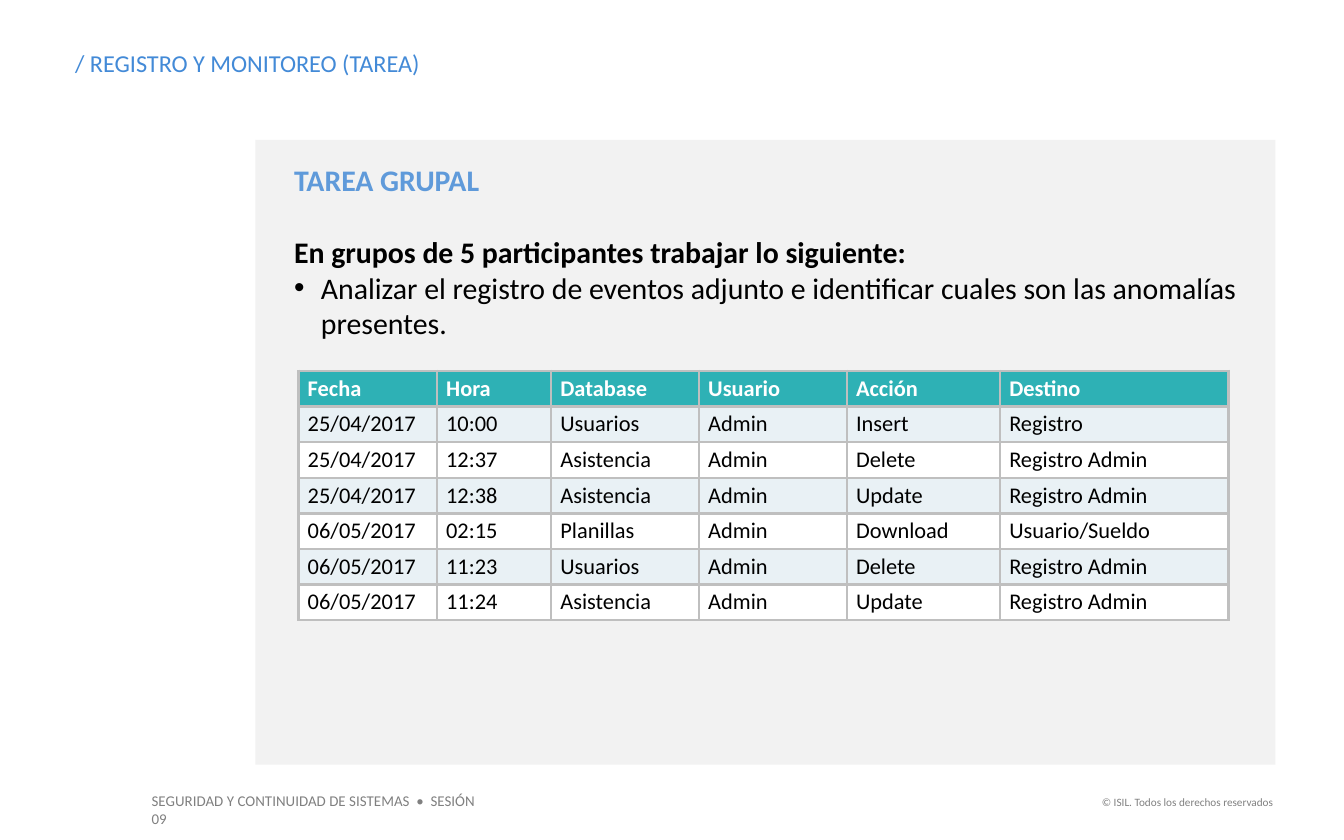
from lxml.etree import SubElement
from pptx import Presentation
from pptx.dml.color import RGBColor
from pptx.enum.shapes import MSO_SHAPE as Shape
from pptx.enum.text import PP_ALIGN as Align
from pptx.oxml.ns import qn
from pptx.util import Inches, Pt

FONT = "Calibri"
BLACK, WHITE, GRAY, BLUE = "000000", "FFFFFF", "808080", "5F9ADA"
PANEL, HEADER, BAND, BORDER = "F2F2F2", "2EB1B5", "E9F1F5", "BFBFBF"

TITLE = "/ REGISTRO Y MONITOREO (TAREA)"
COURSE = "SEGURIDAD Y CONTINUIDAD DE SISTEMAS  •  SESIÓN 09"
RIGHTS = "© ISIL. Todos los derechos reservados"
TASK = [
    dict(text="TAREA GRUPAL", color=BLUE, bold=True),
    dict(text="En grupos de 5 participantes trabajar lo siguiente:", bold=True, before=19.5),
    dict(text="Analizar el registro de eventos adjunto e identificar cuales son "
              "las anomalías presentes.", bullet=True),
]
EVENTS = [
    ("Fecha", "Hora", "Database", "Usuario", "Acción", "Destino"),
    ("25/04/2017", "10:00", "Usuarios", "Admin", "Insert", "Registro"),
    ("25/04/2017", "12:37", "Asistencia", "Admin", "Delete", "Registro Admin"),
    ("25/04/2017", "12:38", "Asistencia", "Admin", "Update", "Registro Admin"),
    ("06/05/2017", "02:15", "Planillas", "Admin", "Download", "Usuario/Sueldo"),
    ("06/05/2017", "11:23", "Usuarios", "Admin", "Delete", "Registro Admin"),
    ("06/05/2017", "11:24", "Asistencia", "Admin", "Update", "Registro Admin"),
]
COL_WIDTHS = [1.03, 0.85, 1.1, 1.1, 1.14, 1.7]
ROW_HEIGHT = 0.265


def rgb(color):
    return RGBColor.from_string(color)


def add_run(p, text, size, color=BLACK, bold=False):
    r = p.add_run()
    r.text = text
    r.font.name, r.font.size, r.font.bold = FONT, Pt(size), bold
    r.font.color.rgb = rgb(color)


def add_bullet(p, indent):
    pPr = p._p.get_or_add_pPr()
    pPr.set("marL", str(Inches(indent)))
    pPr.set("indent", str(-Inches(indent)))
    SubElement(pPr, qn("a:buFont"), typeface="Arial")
    SubElement(pPr, qn("a:buChar"), char="•")


def set_margins(target, x, y):
    target.margin_left = target.margin_right = Inches(x)
    target.margin_top = target.margin_bottom = Inches(y)


def add_text(slide, box, paragraphs, size, align=Align.LEFT, margins=(0.1, 0.05)):
    tf = slide.shapes.add_textbox(*map(Inches, box)).text_frame
    tf.word_wrap = True
    set_margins(tf, *margins)
    for i, item in enumerate(paragraphs):
        p = tf.add_paragraph() if i else tf.paragraphs[0]
        p.alignment = align
        if "before" in item:
            p.space_before = Pt(item["before"])
        if item.get("bullet"):
            add_bullet(p, 0.2)
        add_run(p, item["text"], size, item.get("color", BLACK), item.get("bold", False))


def add_borders(cell, color, width):
    tcPr = cell._tc.get_or_add_tcPr()
    for i, side in enumerate(("lnL", "lnR", "lnT", "lnB")):
        ln = tcPr.makeelement(qn(f"a:{side}"), {"w": str(Pt(width))})
        fill = SubElement(ln, qn("a:solidFill"))
        SubElement(fill, qn("a:srgbClr"), val=color)
        tcPr.insert(i, ln)


def add_events(slide, left, top):
    box = (left, top, sum(COL_WIDTHS), ROW_HEIGHT * len(EVENTS))
    table = slide.shapes.add_table(len(EVENTS), len(COL_WIDTHS), *map(Inches, box)).table
    for column, width in zip(table.columns, COL_WIDTHS):
        column.width = Inches(width)
    for i, row in enumerate(EVENTS):
        table.rows[i].height = Inches(ROW_HEIGHT)
        head = i == 0
        fill = HEADER if head else (BAND if i % 2 else WHITE)
        for j, text in enumerate(row):
            cell = table.cell(i, j)
            set_margins(cell, 0.07, 0.03)
            cell.fill.solid()
            cell.fill.fore_color.rgb = rgb(fill)
            add_borders(cell, BORDER, 1.5)
            add_run(cell.text_frame.paragraphs[0], text, 12, WHITE if head else BLACK, head)


def main():
    prs = Presentation()
    prs.slide_width, prs.slide_height = Inches(10), Inches(6.25)
    slide = prs.slides.add_slide(prs.slide_layouts[6])

    add_text(slide, (1.03, 5.84, 2.74, 0.24), [dict(text=COURSE, color=GRAY)], 8)
    add_text(slide, (8.07, 5.87, 1.5, 0.2), [dict(text=RIGHTS, color=GRAY)], 6, Align.RIGHT)

    panel = slide.shapes.add_shape(Shape.RECTANGLE, *map(Inches, (1.9, 1.04, 7.59, 4.65)))
    panel.shadow.inherit = False
    panel.fill.solid()
    panel.fill.fore_color.rgb = rgb(PANEL)
    panel.line.fill.background()

    add_text(slide, (2.09, 1.15, 7.27, 1.72), TASK, 16)
    add_events(slide, 2.22, 2.76)
    add_text(slide, (0.56, 0.36, 6.6, 0.22), [dict(text=TITLE, color="438AD7")], 13,
             margins=(0, 0))
    prs.save("out.pptx")


if __name__ == "__main__":
    main()
